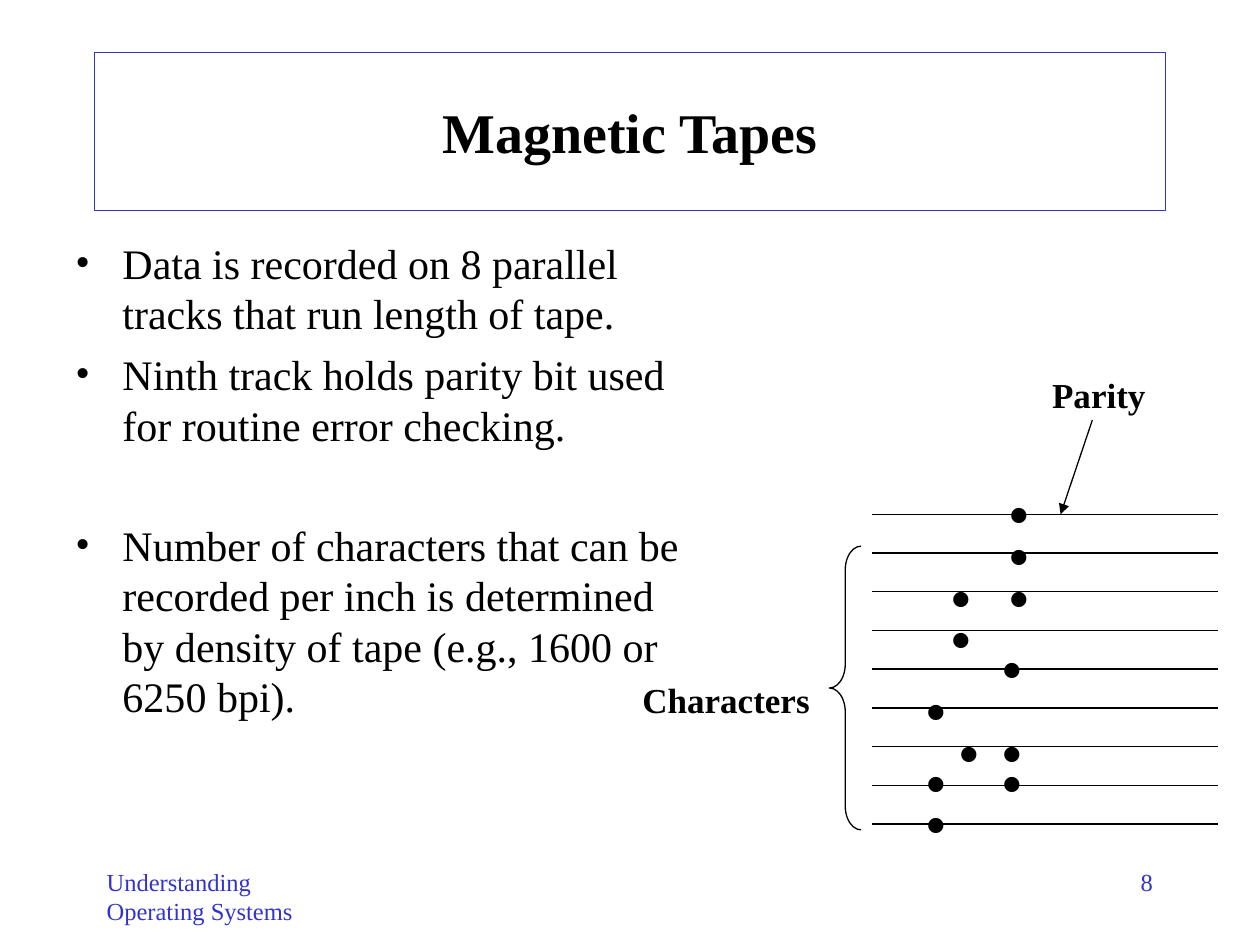
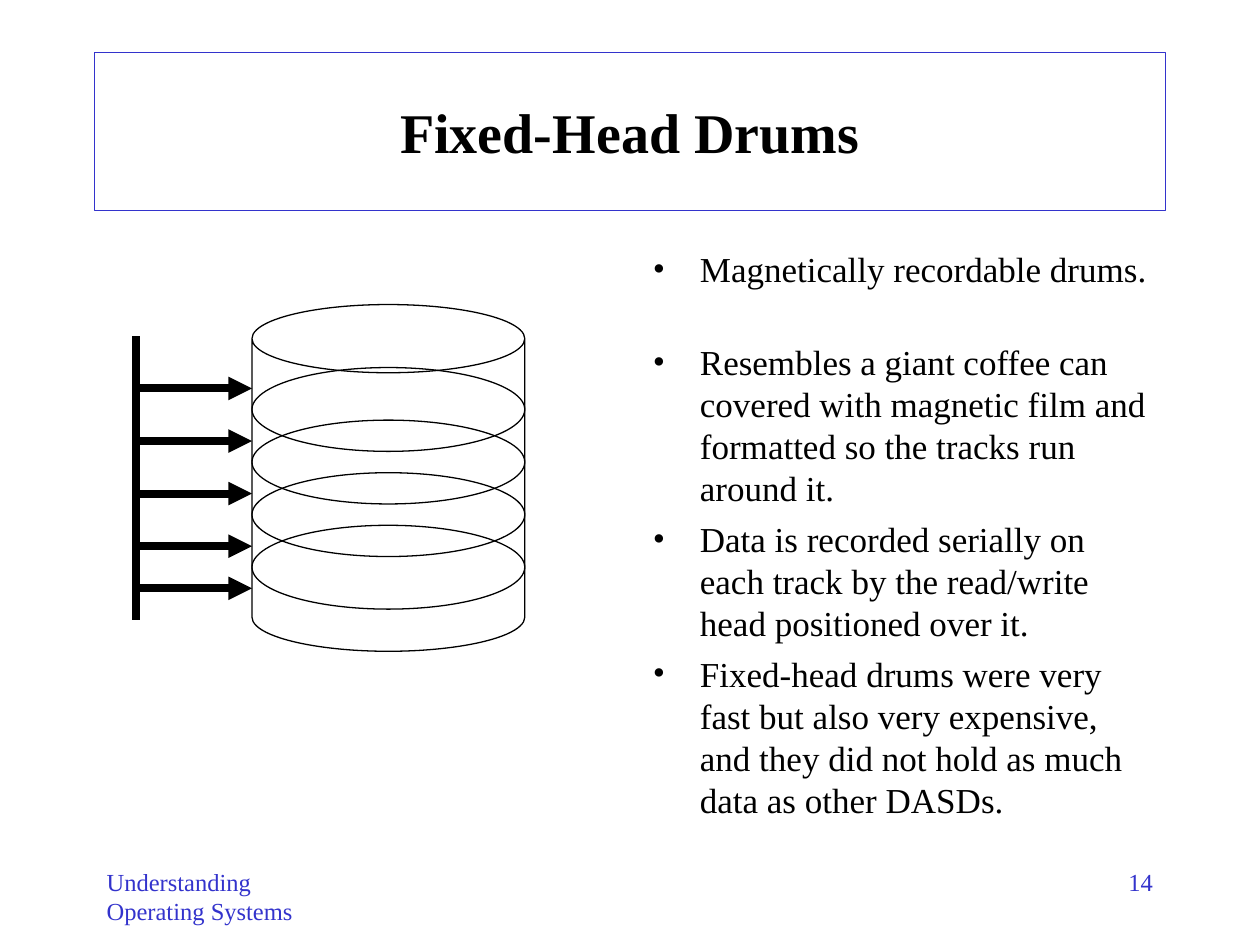
from lxml.etree import SubElement
from pptx import Presentation
from pptx.dml.color import RGBColor
from pptx.enum.shapes import MSO_CONNECTOR as Connector, MSO_SHAPE as Shape
from pptx.enum.text import MSO_ANCHOR as Anchor, PP_ALIGN as Align
from pptx.oxml.ns import qn
from pptx.util import Cm, Pt

COLORS = {"ink": "000000", "accent": "3333CC", "paper": "FFFFFF"}
FONT = "Times New Roman"
THIN, THICK = 0.75, 4.5

TITLE_BOX = (1.9, 1.06, 21.6, 3.18)
FOOTER_BOX = (1.9, 17.35, 5.29, 1.27)
NUMBER_BOX = (18.2, 17.35, 5.29, 1.27)

TRACK_COUNT, TRACK_GAP, TRACK_LENGTH = 9, 0.78, 6.99
BIT_ROWS = [
    (-0.85, [2.54]),
    (0, [2.54]),
    (0.84, [2.54, 1.36]),
    (1.68, [1.36]),
    (2.28, [2.4]),
    (3.12, [0.85]),
    (3.96, [1.53, 2.4]),
    (4.57, [2.4, 0.85]),
    (5.41, [0.85]),
]
RING_COUNT, RING_GAP = 4, 1.06


def color(key):
    return RGBColor.from_string(COLORS[key])


def lengths(box):
    return [Cm(value) for value in box]


def apply_format(target, values):
    for name, value in values.items():
        setattr(target, name, value)


def write(paragraph, text, size, ink="ink", bold=False, align=Align.LEFT):
    paragraph.alignment = align
    run = paragraph.add_run()
    run.text = text
    apply_format(run.font, {"name": FONT, "size": Pt(size), "bold": bold})
    run.font.color.rgb = color(ink)


def add_label(slide, box, text, size, **style):
    label = slide.shapes.add_textbox(*lengths(box))
    label.text_frame.word_wrap = True
    write(label.text_frame.paragraphs[0], text, size, **style)


def add_line(slide, start, end, weight=THIN, arrow=False):
    line = slide.shapes.add_connector(Connector.STRAIGHT, *lengths(start + end))
    line.line.color.rgb = color("ink")
    line.line.width = Pt(weight)
    if arrow:
        SubElement(line.line._get_or_add_ln(), qn("a:tailEnd"), type="triangle")
    SubElement(line._element.spPr, qn("a:effectLst"))


def add_outline(slide, preset, box, fill=None):
    outline = slide.shapes.add_shape(preset, *lengths(box))
    outline.shadow.inherit = False
    if fill:
        outline.fill.solid()
        outline.fill.fore_color.rgb = color(fill)
    else:
        outline.fill.background()
    outline.line.color.rgb = color("ink")
    outline.line.width = Pt(THIN)
    return outline


def add_frame(deck, heading, number):
    slide = deck.slides.add_slide(deck.slide_layouts[5])
    title = slide.shapes.title
    apply_format(title, dict(zip(("left", "top", "width", "height"), lengths(TITLE_BOX))))
    title.line.color.rgb = color("accent")
    title.line.width = Pt(THIN)
    title.text_frame.vertical_anchor = Anchor.MIDDLE
    write(title.text_frame.paragraphs[0], heading, 32, bold=True, align=Align.CENTER)
    add_label(slide, FOOTER_BOX, "Understanding Operating Systems", 14, ink="accent")
    add_label(slide, NUMBER_BOX, number, 14, ink="accent", align=Align.RIGHT)
    return slide


def add_points(slide, box, size, points):
    body = slide.shapes.add_textbox(*lengths(box)).text_frame
    body.word_wrap = True
    for index, (text, space_before) in enumerate(points):
        paragraph = body.add_paragraph() if index else body.paragraphs[0]
        properties = paragraph._p.get_or_add_pPr()
        properties.set("marL", str(Cm(0.95)))
        properties.set("indent", str(Cm(-0.95)))
        bullet_color = SubElement(properties, qn("a:buClr"))
        SubElement(bullet_color, qn("a:srgbClr"), val=COLORS["ink"])
        SubElement(properties, qn("a:buFont"), typeface=FONT)
        SubElement(properties, qn("a:buChar"), char="•")
        paragraph.space_before = Pt(space_before)
        write(paragraph, text, size)


def add_tape(slide, left, top):
    for track in range(TRACK_COUNT):
        y = top + track * TRACK_GAP
        add_line(slide, (left, y), (left + TRACK_LENGTH, y))
    for row, bits in BIT_ROWS:
        for bit in bits:
            add_label(slide, (left + bit, top + row, 0.7, 1.63), "•", 32, bold=True)
    add_label(slide, (left + 3.39, top - 2.96, 2.96, 1.11), "Parity", 20, bold=True)
    add_line(slide, (left + 4.45, top - 1.9), (left + 3.81, top), arrow=True)
    brace = add_outline(slide, Shape.LEFT_BRACE, (left - 0.85, top + 0.64, 0.64, 5.72))
    brace.adjustments[0] = 0.75
    add_label(slide, (left - 4.87, top + 3.18, 4.23, 1.11), "Characters", 20, bold=True)


def add_drum(slide, left, top):
    drum_left, drum_width = left + 2.33, 5.5
    add_outline(slide, Shape.CAN, (drum_left, top, drum_width, 6.99), fill="paper")
    ring_tops = [top + 1.27 + ring * RING_GAP for ring in range(RING_COUNT)]
    for ring_top in ring_tops:
        add_outline(slide, Shape.OVAL, (drum_left, ring_top, drum_width, 1.69))
    add_line(slide, (left, top + 0.64), (left, top + 6.35), THICK)
    for head in [ring_top + 0.42 for ring_top in ring_tops] + [top + 5.72]:
        add_line(slide, (left, head), (drum_left, head), THICK, arrow=True)


def build_tapes(deck):
    slide = add_frame(deck, "Magnetic Tapes", "8")
    add_points(slide, (1.27, 4.66, 12.9, 12.06), 24, [
        ("Data is recorded on 8 parallel tracks that run length of tape.", 0),
        ("Ninth track holds parity bit used for routine error checking.", 6),
        ("Number of characters that can be recorded per inch is determined "
         "by density of tape (e.g., 1600 or 6250 bpi).", 40),
    ])
    add_tape(slide, 17.57, 10.37)


def build_drums(deck):
    slide = add_frame(deck, "Fixed-Head Drums", "14")
    add_points(slide, (12.91, 4.87, 10.58, 12.06), 20, [
        ("Magnetically recordable drums.", 0),
        ("Resembles a giant coffee can covered with magnetic film and "
         "formatted so the tracks run around it.", 29),
        ("Data is recorded serially on each track by the read/write head "
         "positioned over it.", 5),
        ("Fixed-head drums were very fast but also very expensive, and they "
         "did not hold as much data as other DASDs.", 5),
    ])
    add_drum(slide, 2.75, 6.14)


def main():
    deck = Presentation()
    deck.slide_width, deck.slide_height = Cm(25.4), Cm(19.05)
    build_tapes(deck)
    build_drums(deck)
    deck.save("out.pptx")


if __name__ == "__main__":
    main()
